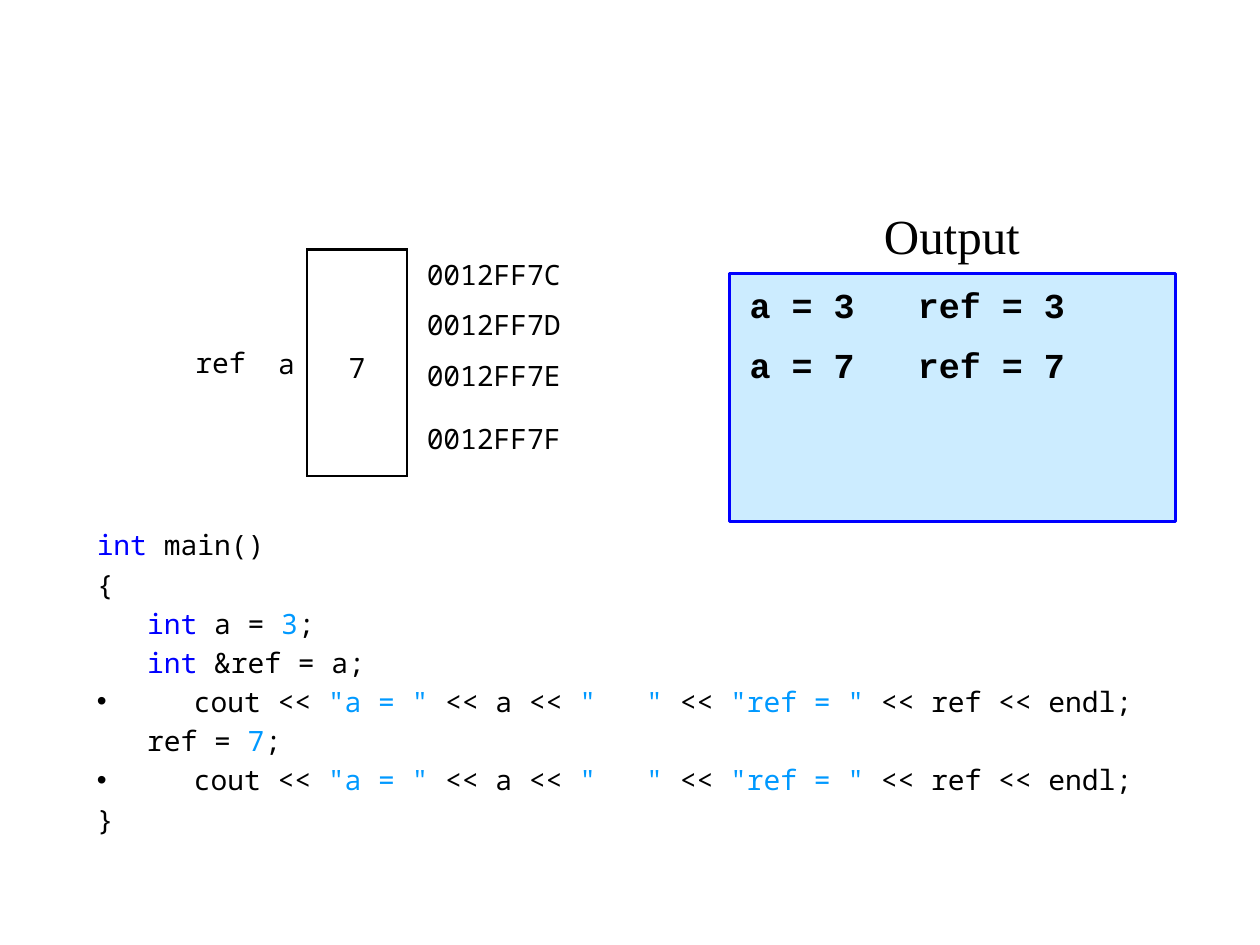
from lxml import etree
from pptx import Presentation
from pptx.dml.color import RGBColor
from pptx.enum import shapes, text
from pptx.oxml.ns import qn
from pptx.util import Inches, Pt

MONO = "Noto Sans Mono"
BLACK, BLUE, SKY, PALE = "000000", "0000FF", "0099FF", "CCECFF"
LEFT, MID, RIGHT = text.PP_ALIGN.LEFT, text.PP_ALIGN.CENTER, text.PP_ALIGN.RIGHT

PRINT = [("cout << ", BLACK), ('"a = "', SKY), (" << a << ", BLACK), ('"   " ', SKY),
         ("<< ", BLACK), ('"ref = "', SKY), (" << ref << endl;", BLACK)]
# indent of the text, bullet or not, coloured pieces
CODE = [
    (0, False, [("int ", BLUE), ("main()", BLACK)]),
    (0, False, [("{", BLACK)]),
    (0.4, False, [("int ", BLUE), ("a = ", BLACK), ("3", SKY), (";", BLACK)]),
    (0.4, False, [("int ", BLUE), ("&ref = a;", BLACK)]),
    (0.77, True, PRINT),
    (0.4, False, [("ref = ", BLACK), ("7", SKY), (";", BLACK)]),
    (0.77, True, PRINT),
    (0, False, [("}", BLACK)]),
]
# text, alignment, bottom margin, borders
NAMES = [("ref", RIGHT, 0.16, ""), ("a", RIGHT, 0.14, "R"), ("7", MID, 0.08, "LRTB")]
CELLS = ["0012FF7C", "0012FF7D", "0012FF7E", "0012FF7F"]
COLS = [0.79, 0.39, 0.79, 1.38]
ROWS = [0.4, 0.4, 0.4, 0.6]
OUTPUT = ["a = 3   ref = 3", "a = 7   ref = 7"]
PLAIN = "{2D5ABB26-0587-4C30-8999-92F81FD0307C}"  # no style, no grid


def rgb(code):
    return RGBColor.from_string(code)


def style(par, face, size, align=LEFT, bold=False):
    par.alignment = align
    par.font.name, par.font.size, par.font.bold = face, Pt(size), bold
    par.font.color.rgb = rgb(BLACK)


def box(slide, *place):
    frame = slide.shapes.add_textbox(*map(Inches, place)).text_frame
    frame.word_wrap = True
    return frame


def lines(frame, count):
    """Return the first paragraph and as many new ones as are needed."""
    return [frame.paragraphs[0]] + [frame.add_paragraph() for _ in range(count - 1)]


def indent(par, left, dot):
    props = par._p.get_or_add_pPr()
    props.set("marL", str(Inches(left)))
    props.set("indent", str(-Inches(left) if dot else 0))
    if dot:
        etree.SubElement(props, qn("a:buFont")).set("typeface", "Arial")
        etree.SubElement(props, qn("a:buChar")).set("char", "•")
        props.append(props.find(qn("a:defRPr")))


def edge(cell, sides):
    props = cell._tc.get_or_add_tcPr()
    for side in sides:
        line = etree.SubElement(props, qn("a:ln" + side), w=str(Pt(1.5)))
        fill = etree.SubElement(line, qn("a:solidFill"))
        etree.SubElement(fill, qn("a:srgbClr")).set("val", BLACK)


def put(cell, words, align, side, low):
    cell.text = words
    cell.vertical_anchor = text.MSO_ANCHOR.MIDDLE
    cell.margin_left = cell.margin_right = Inches(side)
    cell.margin_top, cell.margin_bottom = Inches(0.04), Inches(low)
    par = cell.text_frame.paragraphs[0]
    style(par, MONO, 16, align)
    return par


def add_code(slide):
    frame = box(slide, 0.67, 4.14, 8.66, 2.95)
    for par, (left, dot, parts) in zip(lines(frame, len(CODE)), CODE):
        style(par, MONO, 16)
        par.space_before = Pt(3.2)
        indent(par, left, dot)
        for words, color in parts:
            run = par.add_run()
            run.text = words
            run.font.name, run.font.size = MONO, Pt(16)
            run.font.color.rgb = rgb(color)


def add_memory(slide):
    size = (1.26, 1.98, sum(COLS), sum(ROWS))
    table = slide.shapes.add_table(len(ROWS), len(COLS), *map(Inches, size)).table
    table._tbl.tblPr.find(qn("a:tableStyleId")).text = PLAIN
    table.first_row = table.horz_banding = False
    for col, width in zip(table.columns, COLS):
        col.width = Inches(width)
    for row, height in zip(table.rows, ROWS):
        row.height = Inches(height)
    last = len(ROWS) - 1
    for i, (words, align, low, sides) in enumerate(NAMES):
        for j in range(len(ROWS)):
            edge(table.cell(j, i), sides)
        table.cell(0, i).merge(table.cell(last, i))
        put(table.cell(0, i), words, align, 0.1, low).line_spacing = 1.4
    for j, words in enumerate(CELLS):
        put(table.cell(j, len(NAMES)), words, MID, 0.08, 0.04)
    for cell in table.iter_cells():
        cell.fill.background()


def add_output(slide):
    area = map(Inches, (5.79, 2.17, 3.54, 1.97))
    panel = slide.shapes.add_shape(shapes.MSO_SHAPE.RECTANGLE, *area)
    panel.shadow.inherit = False
    panel.fill.solid()
    panel.fill.fore_color.rgb = rgb(PALE)
    panel.line.color.rgb = rgb(BLUE)
    panel.line.width = Pt(1.5)
    frame = panel.text_frame
    frame.word_wrap = True
    frame.vertical_anchor = text.MSO_ANCHOR.TOP
    frame.margin_left = frame.margin_right = Inches(0.16)
    frame.margin_top = frame.margin_bottom = Inches(0.08)
    for par, words in zip(lines(frame, len(OUTPUT)), OUTPUT):
        par.text = words
        style(par, "Courier New", 20, bold=True)
        par.space_before = Pt(10)
    title = box(slide, 6.77, 1.58, 1.57, 0.59).paragraphs[0]
    title.text = "Output"
    style(title, "Times New Roman", 28, MID)


def main():
    deck = Presentation()
    deck.slide_width, deck.slide_height = Inches(10), Inches(7.5)
    slide = deck.slides.add_slide(deck.slide_layouts[6])
    add_code(slide)
    add_memory(slide)
    add_output(slide)
    deck.save("out.pptx")


if __name__ == "__main__":
    main()
